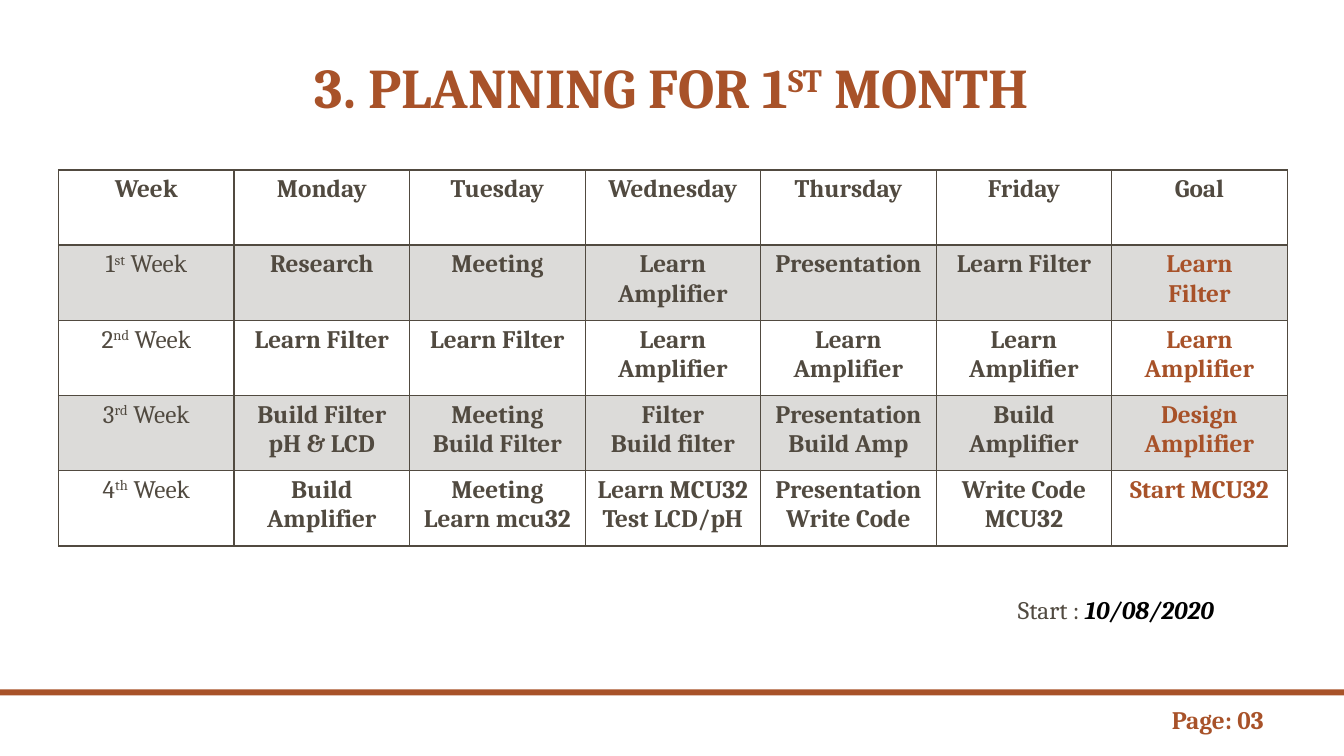
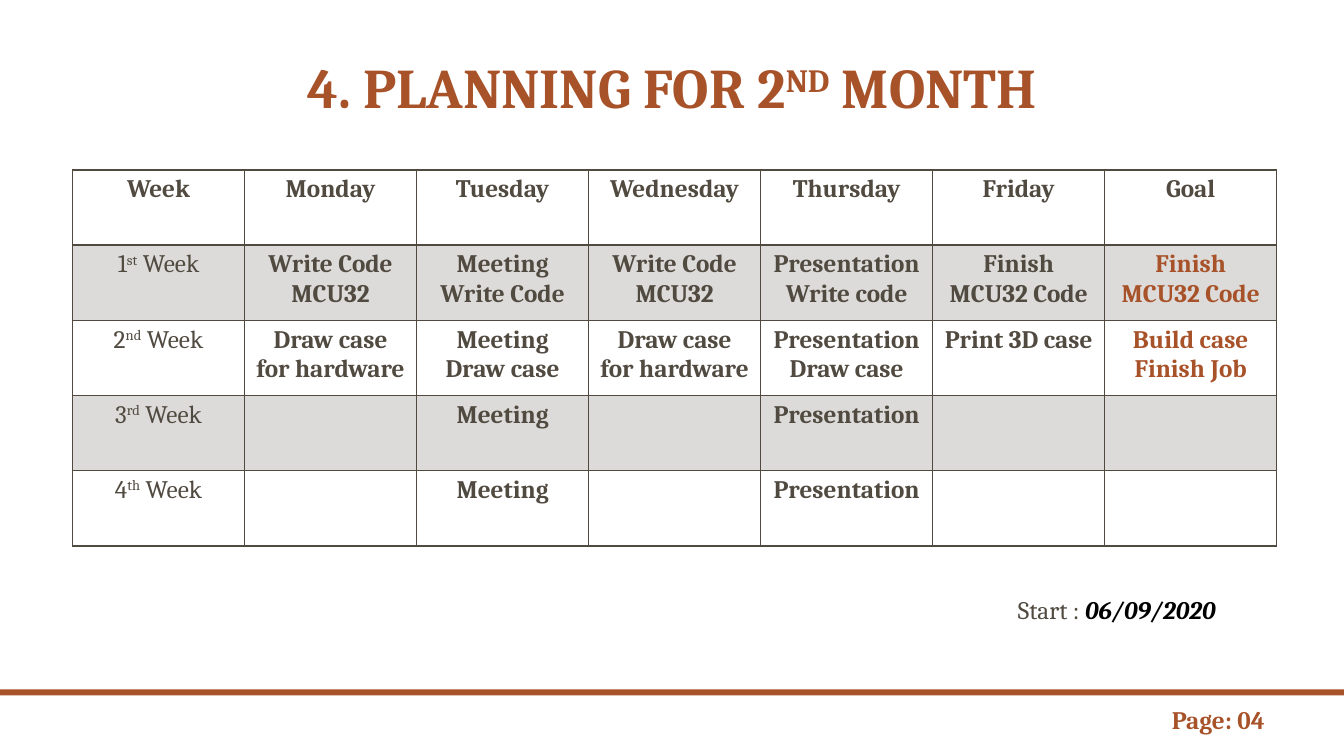
"""Build two monthly planning slides with a shared title, table and footer style."""
import pptx
import pptx.util
import pptx.dml.color
import pptx.enum.shapes
import pptx.enum.text
import lxml.etree

Pt = pptx.util.Pt
Align = pptx.enum.text.PP_ALIGN
COLOURS = {"accent": "A85229", "ink": "514A40", "band": "DCDBD9", "date": "000000"}
RGB = {name: pptx.dml.color.RGBColor.from_string(value) for name, value in COLOURS.items()}
FONT = "Cambria"
DRAWING = "http://schemas.openxmlformats.org/drawingml/2006/main"
HEADINGS = ["Week", "Monday", "Tuesday", "Wednesday", "Thursday", "Friday", "Goal"]
WEEKS = ["1^st^ Week", "2^nd^ Week", "3^rd^ Week", "4^th^ Week"]
ROW_HEIGHT = 53.7

MONTHS = [
    {
        "title": "3. PLANNING FOR 1^ST^ MONTH",
        "start": "10/08/2020",
        "page": "Page: 03",
        "left": 41.8,
        "column": 125.4,
        "tasks": [
            ["Research", "Meeting", "Learn Amplifier", "Presentation", "Learn Filter", "Learn\nFilter"],
            ["Learn Filter", "Learn Filter", "Learn Amplifier", "Learn Amplifier", "Learn Amplifier",
             "Learn\nAmplifier"],
            ["Build Filter\npH & LCD", "Meeting\nBuild Filter", "Filter\nBuild filter",
             "Presentation\nBuild Amp", "Build Amplifier", "Design\nAmplifier"],
            ["Build\nAmplifier", "Meeting\nLearn mcu32", "Learn MCU32\nTest LCD/pH",
             "Presentation\nWrite Code", "Write Code MCU32", "Start MCU32"],
        ],
    },
    {
        "title": "4. PLANNING FOR 2^ND^ MONTH",
        "start": "06/09/2020",
        "page": "Page: 04",
        "left": 51.8,
        "column": 122.9,
        "tasks": [
            ["Write Code MCU32", "Meeting\nWrite Code", "Write Code\nMCU32",
             "Presentation\nWrite code", "Finish MCU32 Code", "Finish MCU32 Code"],
            ["Draw case for hardware", "Meeting\nDraw case", "Draw case for hardware",
             "Presentation\nDraw case", "Print 3D case", "Build case\nFinish Job"],
            ["", "Meeting", "", "Presentation", "", ""],
            ["", "Meeting", "", "Presentation", "", ""],
        ],
    },
]


def write(frame, text, colour, size=18, bold=True, align=Align.CENTER):
    """Write lines of text, raising the parts between carets; return the last paragraph."""
    frame.word_wrap = True
    for index, line in enumerate(text.split("\n")):
        para = frame.add_paragraph() if index else frame.paragraphs[0]
        para.alignment = align
        para.font.name = FONT
        para.font.size = Pt(size)
        para.font.bold = bold
        para.font.color.rgb = RGB[colour]
        for position, part in enumerate(line.split("^")):
            if part:
                span = para.add_run()
                span.text = part
                if position % 2:
                    span._r.get_or_add_rPr().set("baseline", "30000")
    return para


def add_borders(cell, widths):
    """Draw solid cell borders from a dict of side to width in points."""
    properties = cell._tc.get_or_add_tcPr()
    for side, width in widths.items():
        line = lxml.etree.SubElement(properties, f"{{{DRAWING}}}ln{side}", w=str(Pt(width)))
        fill = lxml.etree.SubElement(line, f"{{{DRAWING}}}solidFill")
        lxml.etree.SubElement(fill, f"{{{DRAWING}}}srgbClr", val=COLOURS["ink"])


deck = pptx.Presentation()
deck.slide_width, deck.slide_height = Pt(960), Pt(540)

for month in MONTHS:
    page = deck.slides.add_slide(deck.slide_layouts[6])

    rule = page.shapes.add_shape(
        pptx.enum.shapes.MSO_SHAPE.RECTANGLE, Pt(0), Pt(492.5), Pt(960), Pt(4.3))
    rule.shadow.inherit = False
    rule.fill.solid()
    rule.fill.fore_color.rgb = RGB["accent"]
    rule.line.fill.background()

    title = page.shapes.add_textbox(Pt(102), Pt(0), Pt(756), Pt(90)).text_frame
    title.vertical_anchor = pptx.enum.text.MSO_ANCHOR.BOTTOM
    write(title, month["title"], "accent", size=40).line_spacing = 0.9

    rows = [HEADINGS] + [[week] + tasks for week, tasks in zip(WEEKS, month["tasks"])]
    table = page.shapes.add_table(
        len(rows), len(HEADINGS), Pt(month["left"]), Pt(121.5),
        Pt(month["column"] * len(HEADINGS)), Pt(ROW_HEIGHT * len(rows))).table
    table.first_row = table.horz_banding = False
    for column in table.columns:
        column.width = Pt(month["column"])
    for row_index, texts in enumerate(rows):
        table.rows[row_index].height = Pt(ROW_HEIGHT)
        for column_index, text in enumerate(texts):
            cell = table.cell(row_index, column_index)
            is_goal = row_index > 0 and column_index == len(HEADINGS) - 1
            is_week = row_index > 0 and column_index == 0
            write(cell.text_frame, text, "accent" if is_goal else "ink", bold=not is_week)
            add_borders(cell, {"L": 1, "R": 1, "T": 2 if row_index == 1 else 1,
                               "B": 2 if row_index == 0 else 1})
            if row_index % 2:
                cell.fill.solid()
                cell.fill.fore_color.rgb = RGB["band"]
            else:
                cell.fill.background()

    start = page.shapes.add_textbox(Pt(720), Pt(421.2), Pt(171.4), Pt(29)).text_frame
    para = write(start, "Start : ", "ink", bold=False, align=Align.LEFT)
    date = para.add_run()
    date.text = month["start"]
    date.font.bold = date.font.italic = True
    date.font.color.rgb = RGB["date"]

    number = page.shapes.add_textbox(Pt(830), Pt(499.7), Pt(86.4), Pt(29)).text_frame
    write(number, month["page"], "accent", align=Align.LEFT)

deck.save("out.pptx")
